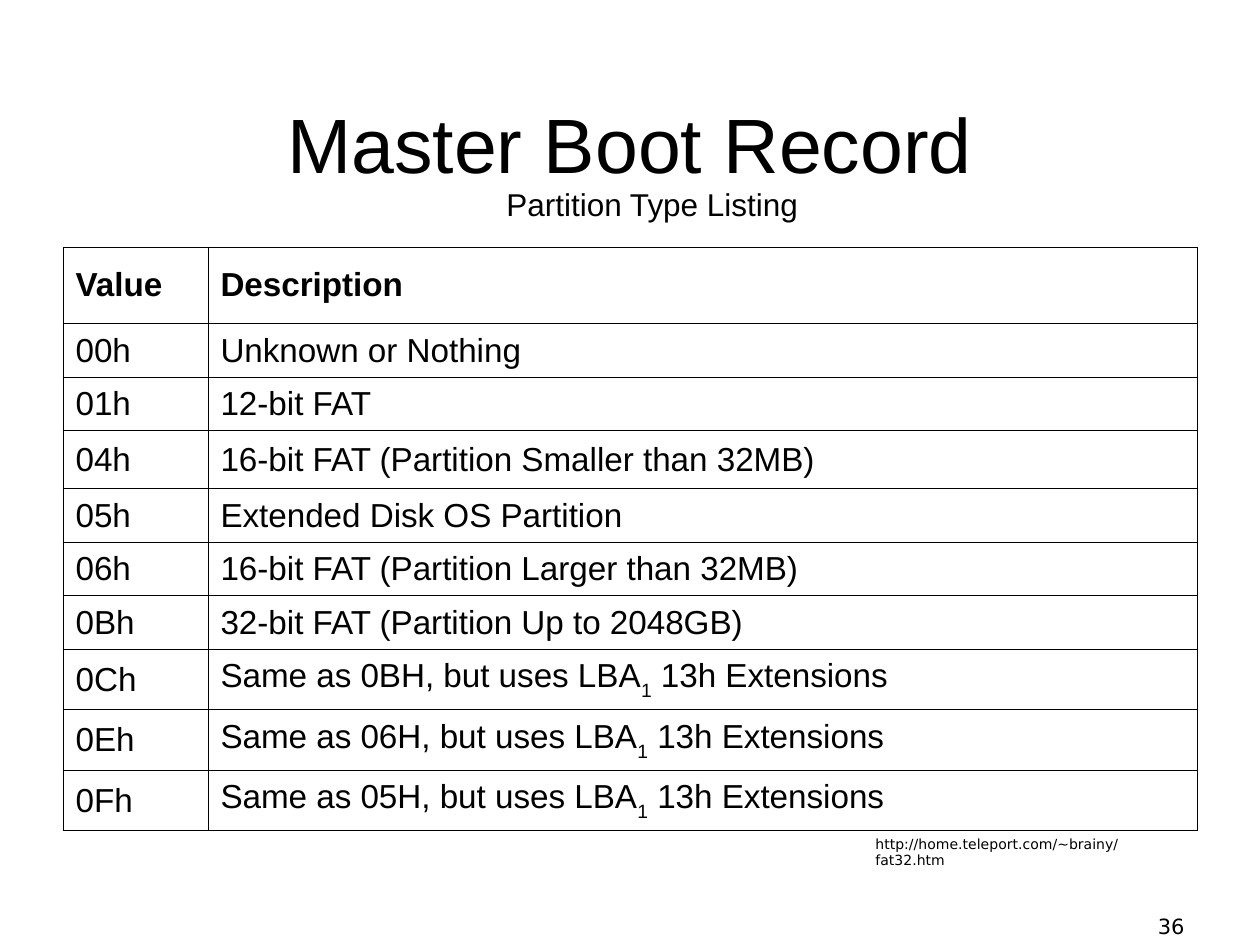
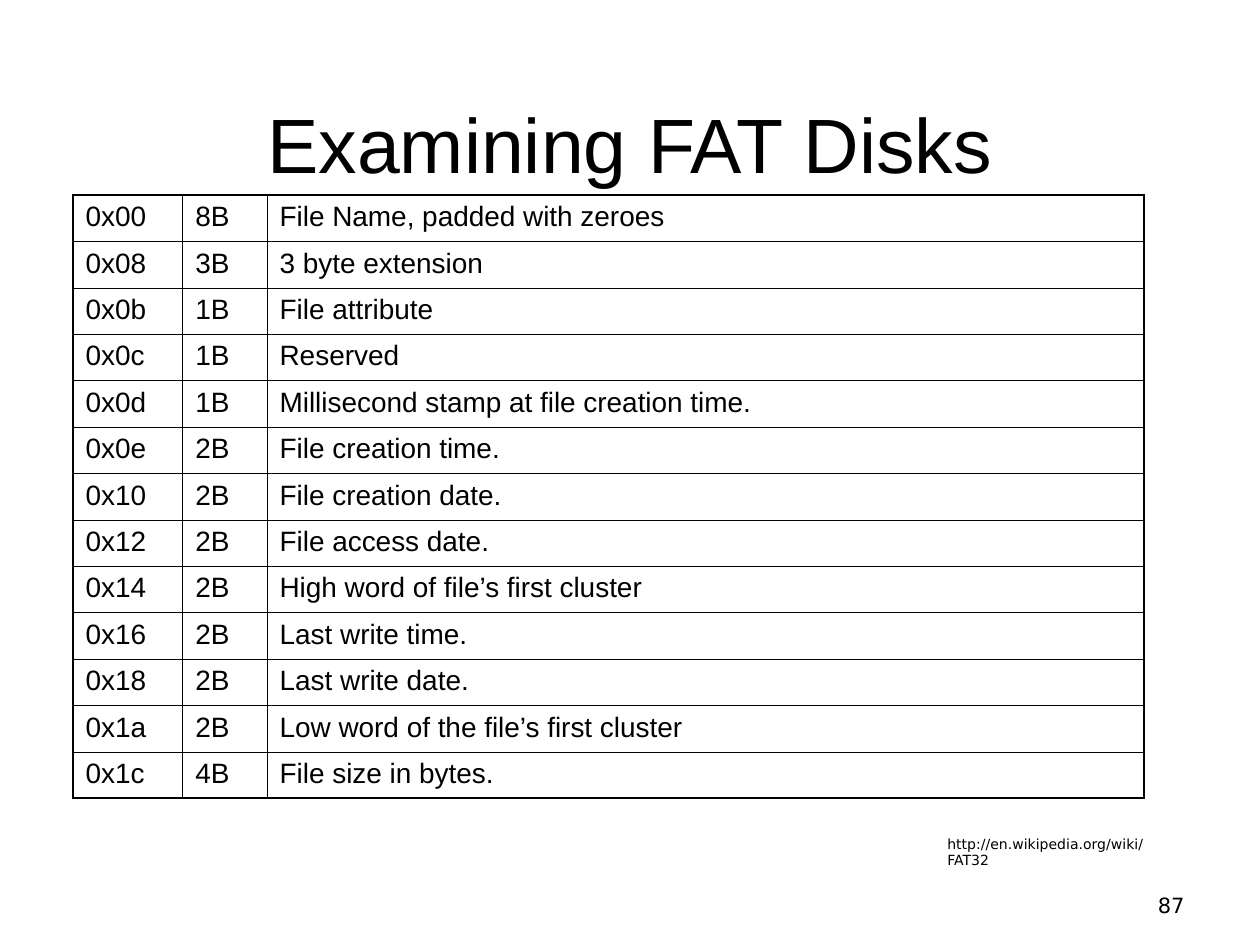
"""Build two slides of disk format tables."""
import pptx
import pptx.dml.color
import pptx.enum.text
import pptx.oxml
import pptx.util

INK = "000000"
SANS = "Arial"
MONO = "DejaVu Sans"
NS = "http://schemas.openxmlformats.org/drawingml/2006/main"
ANCHOR = pptx.enum.text.MSO_ANCHOR
ALIGN = pptx.enum.text.PP_ALIGN
THIN, THICK = 0.45, 1.08

deck = pptx.Presentation()
deck.slide_width = pptx.util.Inches(10)
deck.slide_height = pptx.util.Inches(7.5)
COL = deck.slide_width / 100
ROW = deck.slide_height / 75


def write(frame, text, size, font=SANS, color=INK, bold=False,
          align=ALIGN.LEFT, anchor=ANCHOR.TOP):
    """Fill a text frame; parts between underscores become subscripts."""
    frame.word_wrap = True
    frame.vertical_anchor = anchor
    para = frame.paragraphs[0]
    para.alignment = align
    for num, part in enumerate(text.split("_")):
        run = para.add_run()
        run.text = part
        run.font.size = pptx.util.Pt(size)
        run.font.name = font
        run.font.bold = bold
        run.font.color.rgb = pptx.dml.color.RGBColor.from_string(color)
        if num % 2:
            run._r.get_or_add_rPr().set("baseline", "-30000")


def edge(cell, widths, color=INK):
    """Draw the left, right, top and bottom borders of a cell."""
    props = cell._tc.get_or_add_tcPr()
    for side, width in zip("LRTB", widths):
        props.append(pptx.oxml.parse_xml(
            f'<a:ln{side} xmlns:a="{NS}" w="{int(width * 12700)}">'
            f'<a:solidFill><a:srgbClr val="{color}"/></a:solidFill></a:ln{side}>'))


types = [
    ("Value", "Description"),
    ("00h", "Unknown or Nothing"),
    ("01h", "12-bit FAT"),
    ("04h", "16-bit FAT (Partition Smaller than 32MB)"),
    ("05h", "Extended Disk OS Partition"),
    ("06h", "16-bit FAT (Partition Larger than 32MB)"),
    ("0Bh", "32-bit FAT (Partition Up to 2048GB)"),
    ("0Ch", "Same as 0BH, but uses LBA_1_ 13h Extensions"),
    ("0Eh", "Same as 06H, but uses LBA_1_ 13h Extensions"),
    ("0Fh", "Same as 05H, but uses LBA_1_ 13h Extensions"),
]
fields = [
    ("0x00", "8B", "File Name, padded with zeroes"),
    ("0x08", "3B", "3 byte extension"),
    ("0x0b", "1B", "File attribute"),
    ("0x0c", "1B", "Reserved"),
    ("0x0d", "1B", "Millisecond stamp at file creation time."),
    ("0x0e", "2B", "File creation time."),
    ("0x10", "2B", "File creation date."),
    ("0x12", "2B", "File access date."),
    ("0x14", "2B", "High word of file’s first cluster"),
    ("0x16", "2B", "Last write time."),
    ("0x18", "2B", "Last write date."),
    ("0x1a", "2B", "Low word of the file’s first cluster"),
    ("0x1c", "4B", "File size in bytes."),
]

pages = [
    dict(title="Master Boot Record", data=types, left=5, top=19.6,
         cols=[11.5, 78.5],
         rows=[6.1, 4.25, 4.25, 4.6, 4.25, 4.25, 4.25, 4.8, 4.8, 4.8],
         size=19, anchor=ANCHOR.MIDDLE, head=True, rim=THIN,
         notes=[("Partition Type Listing", (39.2, 14.2, 25.5, 4), dict(size=18)),
                ("http://home.teleport.com/~brainy/fat32.htm",
                 (68.5, 65.8, 25.3, 2.4), dict(size=8, font=MONO))],
         num="36", foot=70),
    dict(title="Examining FAT Disks", data=fields, left=5.8, top=15.5,
         cols=[8.7, 6.7, 69.6], rows=[47.9 / len(fields)] * len(fields),
         size=16, anchor=ANCHOR.TOP, head=False, rim=THICK,
         notes=[("http://en.wikipedia.org/wiki/FAT32",
                 (74.2, 65.8, 20.1, 2.4), dict(size=8, font=MONO))],
         num="87", foot=68.3),
]

for page in pages:
    slide = deck.slides.add_slide(deck.slide_layouts[5])
    title = slide.shapes.title
    title.left, title.top = int(5 * COL), int(3 * ROW)
    title.width, title.height = int(90 * COL), int(12.5 * ROW)
    write(title.text_frame, page["title"], 44, align=ALIGN.CENTER,
          anchor=ANCHOR.BOTTOM)
    title.text_frame.auto_size = pptx.enum.text.MSO_AUTO_SIZE.NONE

    data, cols, rows = page["data"], page["cols"], page["rows"]
    table = slide.shapes.add_table(
        len(rows), len(cols), int(page["left"] * COL), int(page["top"] * ROW),
        int(sum(cols) * COL), int(sum(rows) * ROW)).table
    table.first_row = table.horz_banding = False
    for col, width in zip(table.columns, cols):
        col.width = int(width * COL)
    for row, height in zip(table.rows, rows):
        row.height = int(height * ROW)
    for down, line in enumerate(data):
        for over, text in enumerate(line):
            cell = table.cell(down, over)
            outer = (over == 0, over == len(cols) - 1,
                     down == 0, down == len(rows) - 1)
            edge(cell, [page["rim"] if rim else THIN for rim in outer])
            cell.fill.background()
            write(cell.text_frame, text, page["size"],
                  bold=page["head"] and down == 0)
            cell.vertical_anchor = page["anchor"]

    foot = (page["num"], (71.7, page["foot"], 23.3, 5),
            dict(size=12, font=MONO, align=ALIGN.RIGHT, anchor=ANCHOR.BOTTOM))
    for text, (left, top, width, height), style in page["notes"] + [foot]:
        box = slide.shapes.add_textbox(int(left * COL), int(top * ROW),
                                       int(width * COL), int(height * ROW))
        write(box.text_frame, text, **style)

deck.save("out.pptx")
